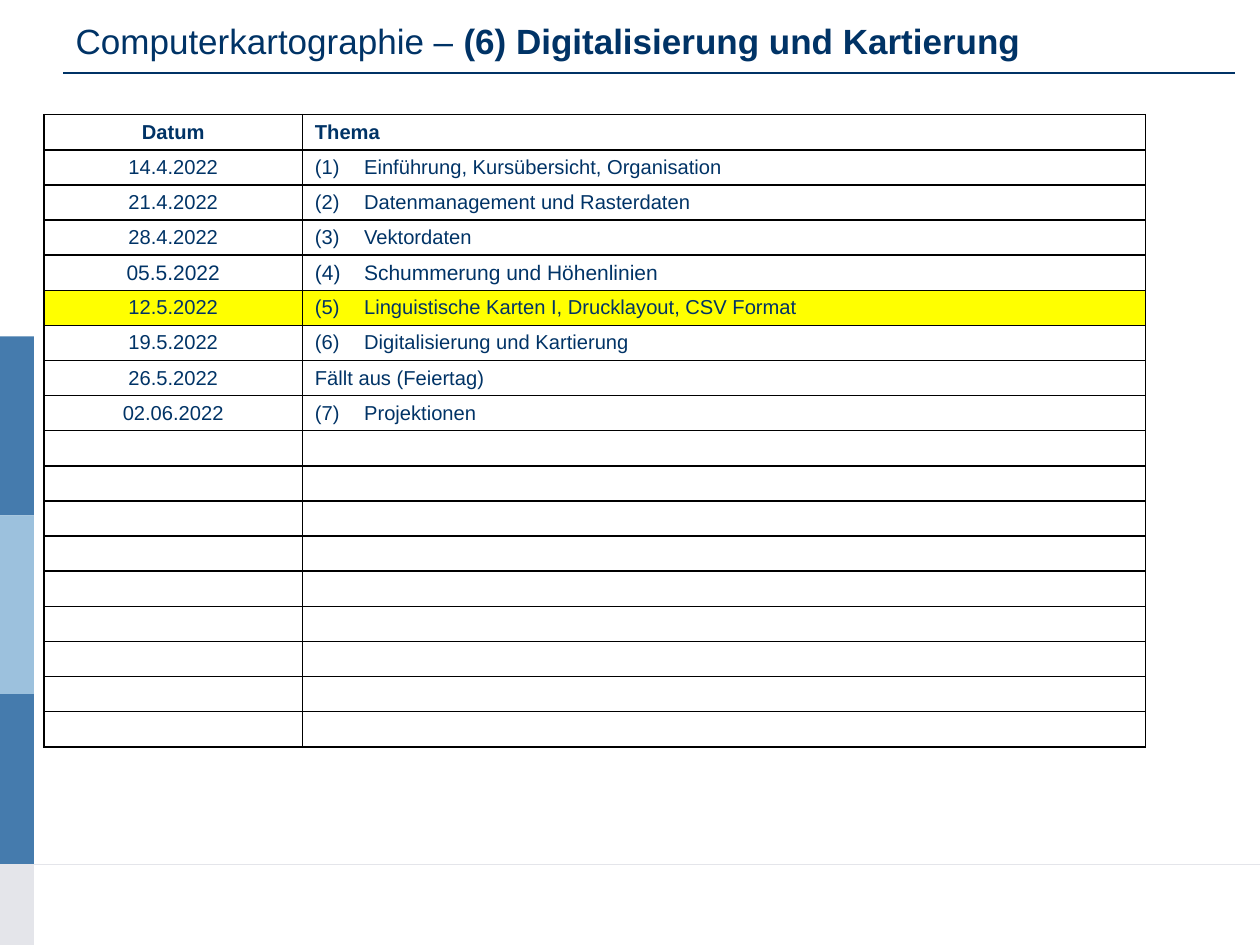
from typing import NamedTuple

from lxml.etree import SubElement as Sub
from pptx import Presentation
from pptx.dml.color import RGBColor
from pptx.enum.shapes import MSO_CONNECTOR as Conn, MSO_SHAPE as Shape
from pptx.enum.text import MSO_ANCHOR as Anchor, MSO_AUTO_SIZE as Auto, PP_ALIGN as Align
from pptx.oxml.ns import qn
from pptx.util import Inches, Length, Pt

COLS, ROWS = 100, 75
NAVY, BLUE, SKY, GREY = "003366", "457BAD", "9CC1DD", "E4E5EA"
WHITE, GOLD, BLACK = "FFFFFF", "FFFF00", "000000"
COUNT, STEP, INDENT = 18, 2.79, 3.9


class Bar(NamedTuple):
    top: float
    end: float
    fill: str


class Rule(NamedTuple):
    left: float
    right: float
    top: float
    color: str
    width: float


class Date(NamedTuple):
    day: str
    topic: str
    size: float = 11.5
    bold: bool = False
    fill: str = WHITE


BARS = [
    Bar(26.7, 40.9, BLUE),
    Bar(40.9, 55.1, SKY),
    Bar(55.1, 68.6, BLUE),
    Bar(68.6, ROWS, GREY),
]
RULES = [Rule(0, COLS, 68.6, GREY, 0.5), Rule(5, 98, 5.8, NAVY, 0.75)]
DATES = [
    Date("Datum", "Thema", bold=True),
    Date("14.4.2022", "(1)\tEinführung, Kursübersicht, Organisation"),
    Date("21.4.2022", "(2)\tDatenmanagement und Rasterdaten"),
    Date("28.4.2022", "(3)\tVektordaten"),
    Date("05.5.2022", "(4)\tSchummerung und Höhenlinien", size=12),
    Date("12.5.2022", "(5)\tLinguistische Karten I, Drucklayout, CSV Format", fill=GOLD),
    Date("19.5.2022", "(6)\tDigitalisierung und Kartierung"),
    Date("26.5.2022", "Fällt aus (Feiertag)"),
    Date("02.06.2022", "(7)\tProjektionen"),
]


def grid(num: float) -> Length:
    return Inches(num / 10)


def paint(part, color: str) -> None:
    part.solid()
    part.fore_color.rgb = RGBColor.from_string(color)


def style(font, size: float, bold: bool) -> None:
    font.name, font.size, font.bold = "Arial", Pt(size), bold
    font.color.rgb = RGBColor.from_string(NAVY)


def write(para, text: str, *, size: float = 11.5, bold: bool = False, align=Align.LEFT) -> None:
    para.alignment = align
    if text:
        run = para.add_run()
        run.text = text
        style(run.font, size, bold)
    else:
        style(para.font, size, bold)
        Sub(para._p, qn("a:endParaRPr"), sz=str(int(size * 100)))


def hang(para) -> None:
    props = para._p.get_or_add_pPr()
    props.set("marL", str(grid(INDENT)))
    props.set("indent", str(-grid(INDENT)))


def draw_bar(slide, bar: Bar) -> None:
    box = slide.shapes.add_shape(
        Shape.RECTANGLE, 0, grid(bar.top), grid(2.7), grid(bar.end - bar.top)
    )
    box.shadow.inherit = False
    paint(box.fill, bar.fill)
    box.line.fill.background()


def draw_rule(slide, rule: Rule) -> None:
    y = grid(rule.top)
    line = slide.shapes.add_connector(
        Conn.STRAIGHT, grid(rule.left), y, grid(rule.right), y
    )
    paint(line.line.fill, rule.color)
    line.line.width = Pt(rule.width)
    Sub(line._element.spPr, qn("a:effectLst"))


def frame(cell) -> None:
    props = cell._tc.get_or_add_tcPr()
    for side in ("lnL", "lnR", "lnT", "lnB"):
        edge = Sub(props, qn(f"a:{side}"), w=str(Pt(1)))
        fill = Sub(edge, qn("a:solidFill"))
        Sub(fill, qn("a:srgbClr"), val=BLACK)


def fill_cell(cell, text: str, date: Date, align) -> None:
    frame(cell)
    paint(cell.fill, date.fill)
    cell.margin_top = cell.margin_bottom = grid(0.3)
    cell.vertical_anchor = Anchor.MIDDLE
    para = cell.text_frame.paragraphs[0]
    if "\t" in text:
        hang(para)
    write(para, text, size=date.size, bold=date.bold, align=align)


def draw_table(slide) -> None:
    widths = (20.5, 66.9)
    table = slide.shapes.add_table(
        COUNT, 2, grid(3.5), grid(9.1), grid(sum(widths)), grid(COUNT * STEP)
    ).table
    table.first_row = table.horz_banding = False
    for col, width in zip(table.columns, widths):
        col.width = grid(width)
    dates = DATES + [Date("", "")] * (COUNT - len(DATES))
    for row, date in zip(table.rows, dates):
        row.height = grid(STEP)
        fill_cell(row.cells[0], date.day, date, Align.CENTER)
        fill_cell(row.cells[1], date.topic, date, Align.LEFT)


def draw_title(slide) -> None:
    title = slide.shapes.title
    title.left, title.top = grid(5), grid(0.5)
    title.width, title.height = grid(90), grid(5.5)
    text = title.text_frame
    text.auto_size, text.word_wrap = Auto.NONE, True
    text.vertical_anchor = Anchor.MIDDLE
    para = text.paragraphs[0]
    write(para, "Computerkartographie – ", size=20)
    write(para, "(6) Digitalisierung und Kartierung", size=20, bold=True)


def main() -> None:
    deck = Presentation()
    deck.slide_width, deck.slide_height = grid(COLS), grid(ROWS)
    slide = deck.slides.add_slide(deck.slide_layouts[5])
    paint(slide.background.fill, WHITE)
    draw_title(slide)
    for bar in BARS:
        draw_bar(slide, bar)
    for rule in RULES:
        draw_rule(slide, rule)
    draw_table(slide)
    deck.save("out.pptx")


if __name__ == "__main__":
    main()
